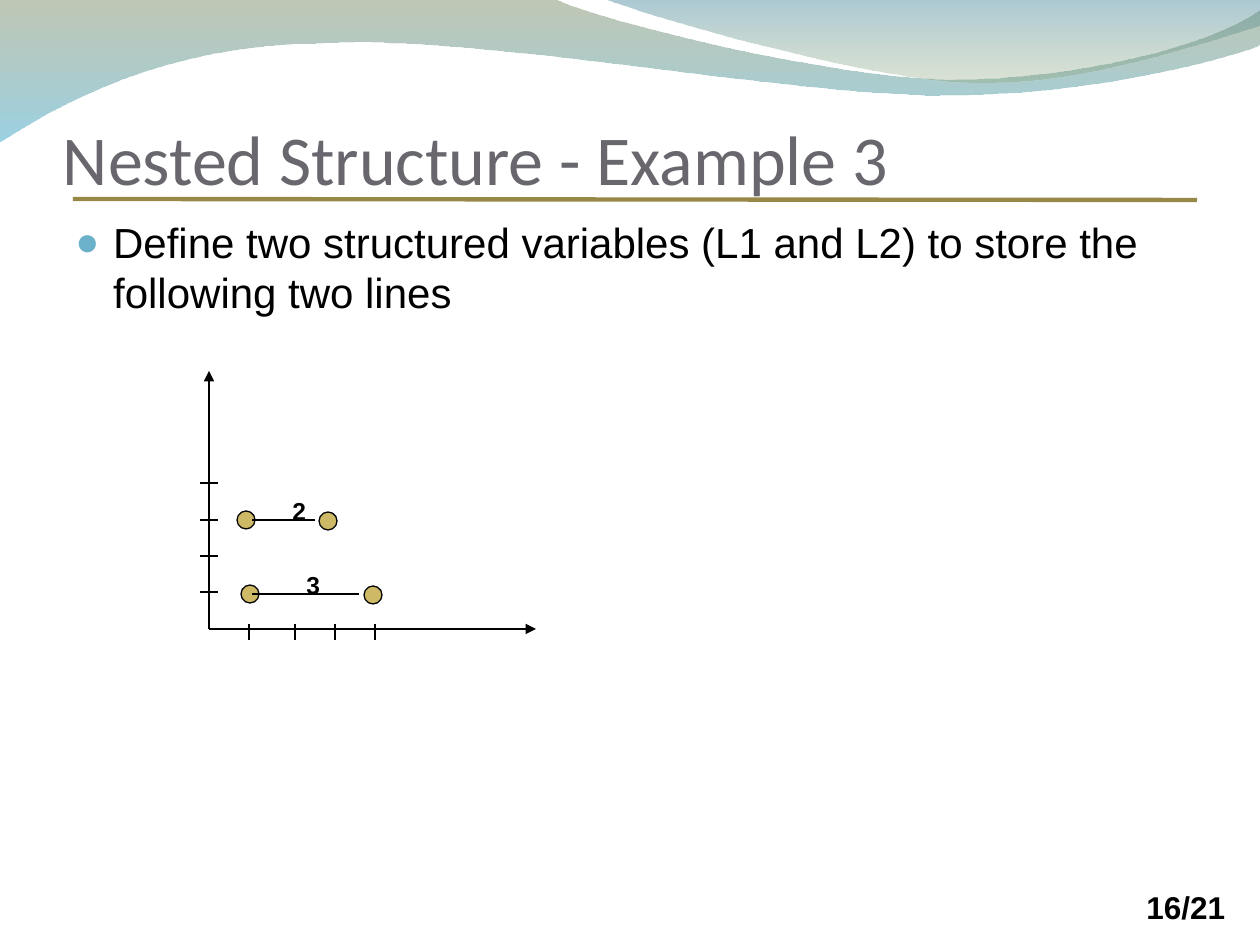
from lxml import etree
from pptx import Presentation
from pptx import util as u
from pptx.dml.color import RGBColor
from pptx.enum import shapes, text
from pptx.oxml.ns import qn

PX = 914400 / 126
BLACK = RGBColor(0x00, 0x00, 0x00)
TITLE_GREY = RGBColor(0x69, 0x67, 0x6D)
RULE_GOLD = RGBColor(0x98, 0x88, 0x48)
POINT_GOLD = RGBColor(0xCE, 0xB9, 0x66)
BULLET_BLUE = RGBColor(0x6B, 0xB1, 0xC9)
OLIVE = RGBColor(0x72, 0x84, 0x5C)
SKY = RGBColor(0x49, 0xAC, 0xCD)
TEAL = RGBColor(0x42, 0x86, 0x9E)
SAGE = RGBColor(0x8A, 0xA2, 0x6C)

# Each segment holds one end point, or two control points and an end point.
LEFT_WAVE = [
    [(0, -1)], [(554, -1)],
    [(600, 21), (837, 79), (955, 79)],
    [(1075, 79), (1207, 47), (1260, 11)],
    [(1261, 45)],
    [(1239, 55), (1096, 96), (940, 95)],
    [(784, 95), (481, 35), (324, 43)],
    [(163, 44), (58, 105), (-1, 142)],
]
RIGHT_WAVE = [
    [(604, -1)],
    [(641, 14), (859, 78), (969, 82)],
    [(1079, 87), (1211, 40), (1260, 26)],
    [(1260, 0)],
]


def px(n):
    return u.Emu(round(n * PX))


def bend(sp, segments):
    """Turn each three-point segment of the outline into a Bezier curve."""
    lines = iter(sp._element.findall(".//" + qn("a:lnTo")))
    for seg in segments[1:]:
        curve = next(lines)
        if len(seg) == 3:
            curve.tag = qn("a:cubicBezTo")
            for line in (next(lines), next(lines)):
                curve.append(line[0])
                line.getparent().remove(line)


def add_wave(parent, segments, stops):
    """Draw a closed outline with a top-to-bottom fill of (colour, opacity %)."""
    points = [(px(x), px(y)) for seg in segments for x, y in seg]
    builder = parent.build_freeform(*points[0], scale=1.0)
    builder.add_line_segments(points[1:], close=True)
    sp = builder.convert_to_shape()
    bend(sp, segments)
    sp.shadow.inherit = False
    sp.line.fill.background()
    sp.fill.gradient()
    sp.fill.gradient_angle = 270
    for stop, (color, opacity) in zip(sp.fill.gradient_stops, stops):
        stop.color.rgb = color
    colors = sp._element.spPr.findall(".//" + qn("a:gs") + "/" + qn("a:srgbClr"))
    for el, (color, opacity) in zip(colors, stops):
        etree.SubElement(el, qn("a:alpha"), val=str(opacity * 1000))


def add_line(parent, x1, y1, x2, y2, color=BLACK, width=0.75, arrow=False):
    line = parent.add_connector(shapes.MSO_CONNECTOR.STRAIGHT,
                                px(x1), px(y1), px(x2), px(y2))
    line.line.color.rgb = color
    line.line.width = u.Pt(width)
    if arrow:
        etree.SubElement(line.line._get_or_add_ln(), qn("a:tailEnd"), type="triangle")
    etree.SubElement(line._element.spPr, qn("a:effectLst"))


def add_point(parent, x, y, size=18):
    sp = parent.add_shape(shapes.MSO_SHAPE.OVAL, px(x), px(y), px(size), px(size))
    sp.shadow.inherit = False
    sp.fill.solid()
    sp.fill.fore_color.rgb = POINT_GOLD
    sp.line.color.rgb = BLACK
    sp.line.width = u.Pt(0.75)


def add_text(parent, x, y, w, h, words, size, font="Arial", color=BLACK, bold=False):
    box = parent.add_textbox(px(x), px(y), px(w), px(h))
    tf = box.text_frame
    tf.word_wrap = True
    r = tf.paragraphs[0].add_run()
    r.text = words
    r.font.name = font
    r.font.size = u.Pt(size)
    r.font.bold = bold
    r.font.color.rgb = color
    return tf


def add_bullet(p):
    p.space_before = u.Pt(6)
    pPr = p._p.get_or_add_pPr()
    pPr.set("marL", str(u.Inches(0.3)))
    pPr.set("indent", str(-u.Inches(0.3)))
    color = etree.SubElement(pPr, qn("a:buClr"))
    etree.SubElement(color, qn("a:srgbClr"), val=str(BULLET_BLUE))
    etree.SubElement(pPr, qn("a:buSzPct"), val="95000")
    etree.SubElement(pPr, qn("a:buFont"), typeface="Arial")
    etree.SubElement(pPr, qn("a:buChar"), char="●")


def add_graph(parent):
    left, base = 209, 629
    graph = parent.add_group_shape().shapes
    add_line(graph, left, base, left, 371, arrow=True)
    add_line(graph, left, base, 536, base, arrow=True)
    for x in (249, 295, 335, 375):
        add_line(graph, x, 624, x, 640)
    for y in (483, 520, 556, 592):
        add_line(graph, 200, y, 218, y)
    for start, end, y, line_end, label_x, length in (
            (237, 319, 520, 315, 280, "2"), (241, 364, 594, 359, 294, "3")):
        add_point(graph, start, y - 9)
        add_point(graph, end, y - 8)
        add_line(graph, 252, y, line_end, y)
        add_text(graph, label_x, y - 30, 53, 43, length, 14, bold=True)


def main():
    prs = Presentation()
    prs.slide_width, prs.slide_height = px(1260), px(945)
    s = prs.slides.add_slide(prs.slide_layouts[6]).shapes

    add_wave(s, LEFT_WAVE, [(OLIVE, 45), (SKY, 55)])
    add_wave(s, RIGHT_WAVE, [(TEAL, 45), (SAGE, 30)])
    add_line(s, 73, 199, 1197, 200, RULE_GOLD, 2.5)
    add_text(s, 1134, 882, 116, 126, "16/21", 18, bold=True)

    title = add_text(s, 63, 42, 1134, 157, "Nested Structure - Example 3", 40,
                     "Calibri", TITLE_GREY)
    title.vertical_anchor = text.MSO_ANCHOR.BOTTOM
    title.margin_left = title.margin_right = title.margin_bottom = 0

    add_graph(s)
    body = add_text(s, 63, 210, 1134, 672,
                    "Define two structured variables (L1 and L2) to store the "
                    "following two lines", 24)
    add_bullet(body.paragraphs[0])
    prs.save("out.pptx")


if __name__ == "__main__":
    main()
